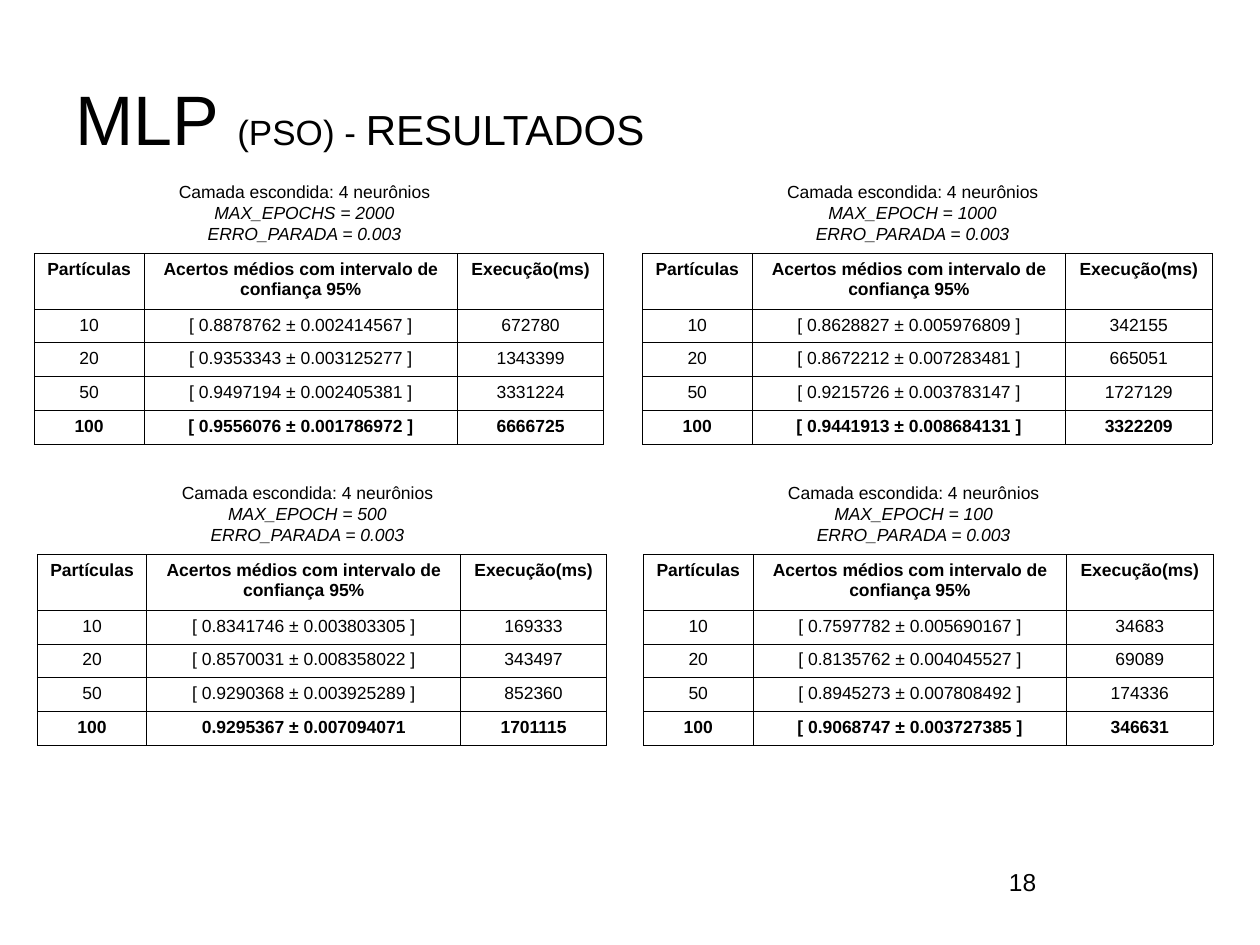
from lxml import etree
from pptx import Presentation
from pptx import util as u
from pptx.dml import color
from pptx.enum import text
from pptx.oxml import ns


def paint(fill, shade):
    fill.solid()
    fill.fore_color.rgb = color.RGBColor.from_string(shade)


def write(par, words, size=10, font="Arial", ink="000000", bold=False,
          slant=False, align=text.PP_ALIGN.CENTER):
    par.alignment = align
    run = par.add_run()
    run.text = words
    run.font.name = font
    run.font.size = u.Pt(size)
    run.font.bold = bold
    run.font.italic = slant
    paint(run.font.fill, ink)


class Page:
    ink = "000000"
    width = 0.45
    cols = (2.21, 6.32, 2.95)
    rows = (1.12, 0.68, 0.68, 0.68, 0.68)

    def __init__(self, slide):
        self.slide = slide

    def box(self, left, top, width, height):
        frame = self.slide.shapes.add_textbox(
            u.Cm(left), u.Cm(top), u.Cm(width), u.Cm(height)).text_frame
        frame.word_wrap = True
        return frame

    def title(self, parts):
        frame = self.box(1.27, 1.14, 22.86, 3.18)
        frame.margin_top = u.Cm(0.38)
        for words, size in parts:
            write(frame.paragraphs[0], words, size=size, ink=self.ink,
                  align=text.PP_ALIGN.LEFT)

    def label(self, left, top, lines):
        frame = self.box(left, top, 9.83, 1.96)
        for i, words in enumerate(lines):
            par = frame.add_paragraph() if i else frame.paragraphs[0]
            write(par, words, ink=self.ink, slant=i > 0)

    def number(self, words):
        frame = self.box(19.51, 17.35, 1.63, 1.32)
        write(frame.paragraphs[0], words, size=14, ink=self.ink,
              align=text.PP_ALIGN.RIGHT)

    def edge(self, cell):
        props = cell._tc.get_or_add_tcPr()
        for side in ("lnL", "lnR", "lnT", "lnB"):
            line = etree.SubElement(props, ns.qn(f"a:{side}"),
                                    w=str(u.Pt(self.width)))
            fill = etree.SubElement(line, ns.qn("a:solidFill"))
            etree.SubElement(fill, ns.qn("a:srgbClr"), val=self.ink)

    def table(self, left, top, data):
        grid = self.slide.shapes.add_table(
            len(self.rows), len(self.cols), u.Cm(left), u.Cm(top),
            u.Cm(sum(self.cols)), u.Cm(sum(self.rows))).table
        grid.first_row = grid.horz_banding = False
        for col, width in zip(grid.columns, self.cols):
            col.width = u.Cm(width)
        for row, height in zip(grid.rows, self.rows):
            row.height = u.Cm(height)
        for r, line in enumerate(data):
            for c, words in enumerate(line):
                cell = grid.cell(r, c)
                cell.margin_left = cell.margin_right = u.Cm(0.2)
                self.edge(cell)
                cell.fill.background()
                write(cell.text_frame.paragraphs[0], words, ink=self.ink,
                      bold=r in (0, len(data) - 1))


HEAD = ("Partículas", "Acertos médios com intervalo de confiança 95%",
        "Execução(ms)")
COUNTS = ("10", "20", "50", "100")
TESTS = [
    (0.69, 5.11, "MAX_EPOCHS = 2000",
     ("[ 0.8878762 ± 0.002414567 ]", "[ 0.9353343 ± 0.003125277 ]",
      "[ 0.9497194 ± 0.002405381 ]", "[ 0.9556076 ± 0.001786972 ]"),
     ("672780", "1343399", "3331224", "6666725")),
    (12.95, 5.11, "MAX_EPOCH = 1000",
     ("[ 0.8628827 ± 0.005976809 ]", "[ 0.8672212 ± 0.007283481 ]",
      "[ 0.9215726 ± 0.003783147 ]", "[ 0.9441913 ± 0.008684131 ]"),
     ("342155", "665051", "1727129", "3322209")),
    (0.75, 11.18, "MAX_EPOCH = 500",
     ("[ 0.8341746 ± 0.003803305 ]", "[ 0.8570031 ± 0.008358022 ]",
      "[ 0.9290368 ± 0.003925289 ]", "0.9295367 ± 0.007094071"),
     ("169333", "343497", "852360", "1701115")),
    (12.97, 11.18, "MAX_EPOCH = 100",
     ("[ 0.7597782 ± 0.005690167 ]", "[ 0.8135762 ± 0.004045527 ]",
      "[ 0.8945273 ± 0.007808492 ]", "[ 0.9068747 ± 0.003727385 ]"),
     ("34683", "69089", "174336", "346631")),
]


def main():
    deck = Presentation()
    deck.slide_width, deck.slide_height = u.Cm(25.4), u.Cm(19.05)
    page = Page(deck.slides.add_slide(deck.slide_layouts[6]))
    page.title([("MLP ", 40), ("(PSO) - ", 20), ("RESULTADOS", 24)])
    for left, top, epochs, hits, times in TESTS:
        page.table(left, top, [HEAD, *zip(COUNTS, hits, times)])
        page.label(left + 0.53, top - 1.59,
                   ("Camada escondida: 4 neurônios", epochs,
                    "ERRO_PARADA = 0.003"))
    page.number("18")
    deck.save("out.pptx")


if __name__ == "__main__":
    main()
